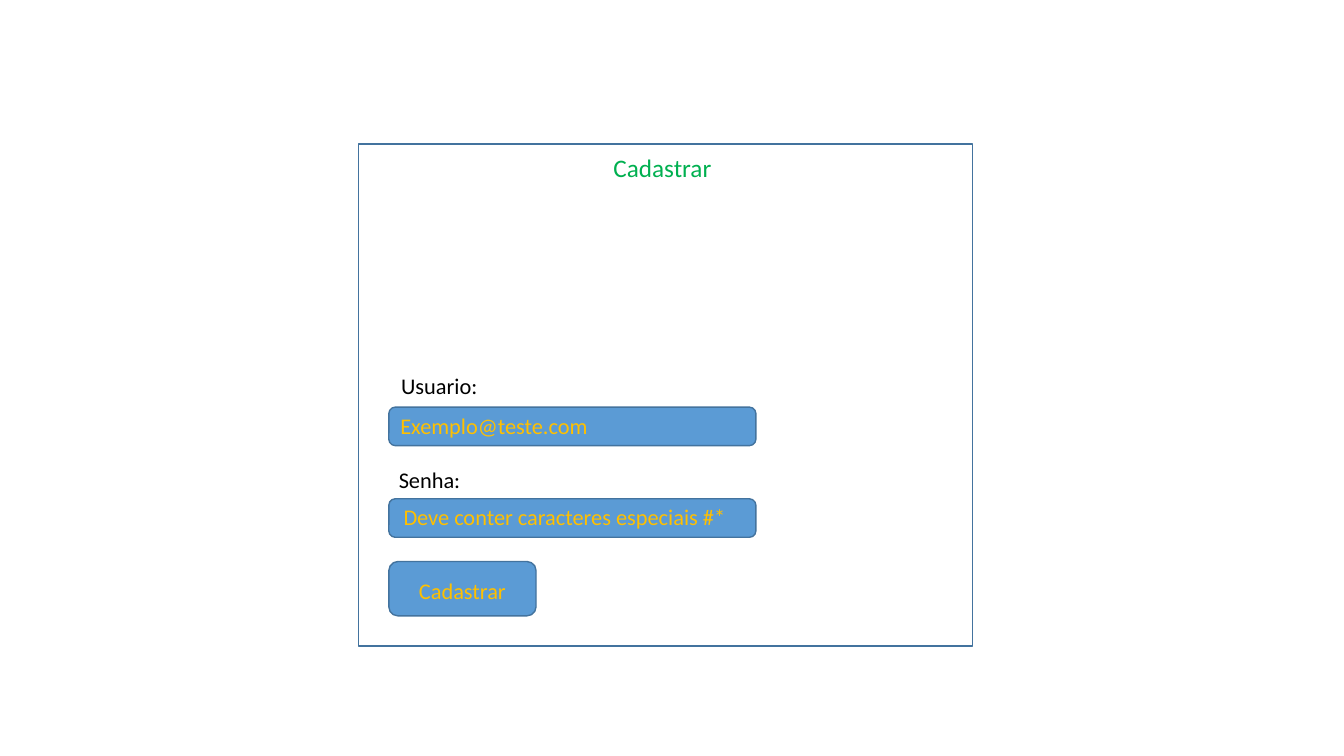
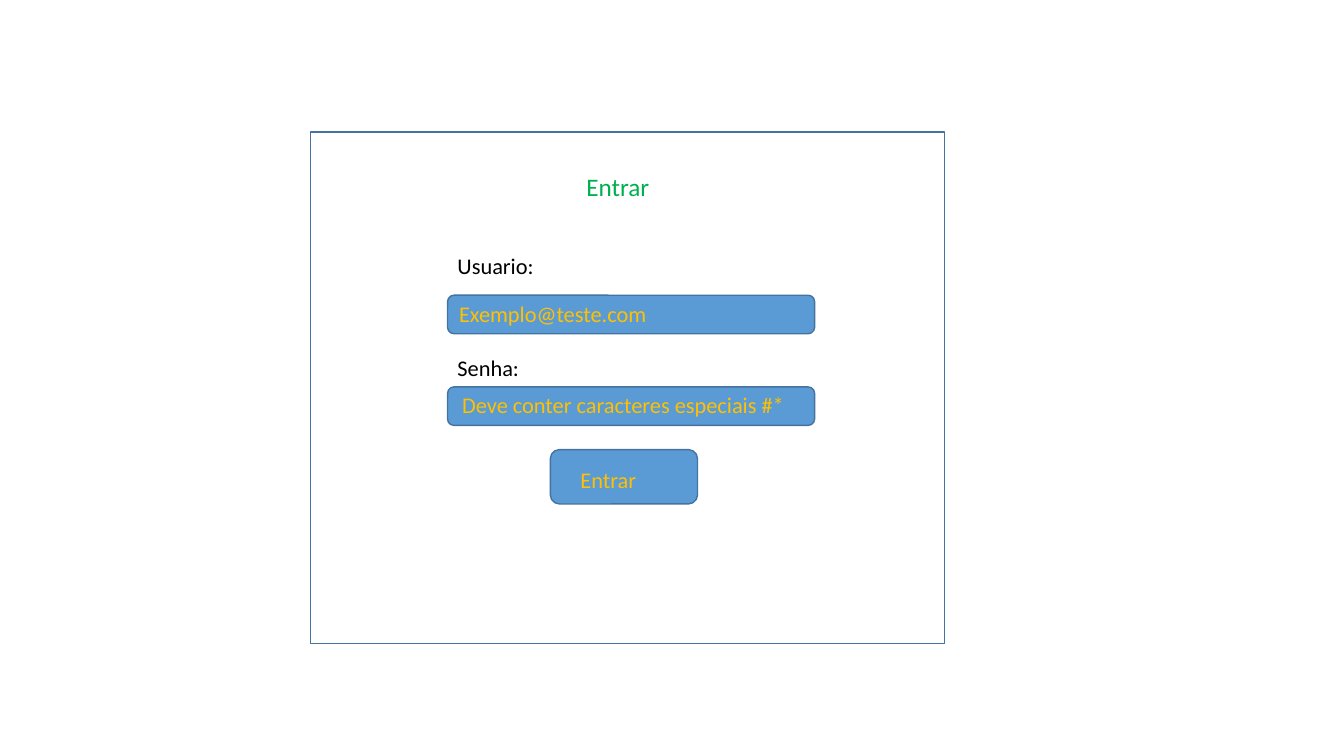
"""Build two form mock-ups: a sign-up screen and a sign-in screen."""
from pptx import Presentation
from pptx.dml.color import RGBColor
from pptx.enum.shapes import MSO_SHAPE
from pptx.util import Cm, Pt

RECT = MSO_SHAPE.RECTANGLE
ROUNDED = MSO_SHAPE.ROUNDED_RECTANGLE
FONT = "Calibri"
COLORS = {"panel": "FFFFFF", "field": "5B9BD5", "border": "43739E",
          "label": "000000", "hint": "FFC000", "title": "00B050"}
FIELD_W, FIELD_H = 9.25, 0.97
FIELD_STEP = 2.31
BUTTON_W, BUTTON_H = 3.71, 1.37
BUTTON_DROP = 3.89
TEXT_H = 0.94


def add_box(s, kind, x, y, w, h, fill):
    sp = s.shapes.add_shape(kind, Cm(x), Cm(y), Cm(w), Cm(h))
    sp.shadow.inherit = False
    sp.fill.solid()
    sp.fill.fore_color.rgb = RGBColor.from_string(COLORS[fill])
    sp.line.color.rgb = RGBColor.from_string(COLORS["border"])
    sp.line.width = Pt(1)


def add_text(s, text, x, y, w, color, size=16):
    tf = s.shapes.add_textbox(Cm(x), Cm(y), Cm(w), Cm(TEXT_H)).text_frame
    tf.word_wrap = True
    tf.text = text
    r = tf.paragraphs[0].runs[0]
    r.font.name = FONT
    r.font.size = Pt(size)
    r.font.color.rgb = RGBColor.from_string(COLORS[color])


prs = Presentation()
prs.slide_width, prs.slide_height = Cm(33.87), Cm(19.05)

screens = [
    {"action": "Cadastrar", "panel": (9.04, 3.63, 15.47, 12.65),
     "title": (15.21, 3.71, 5.11), "fields": (9.8, 10.26),
     "user_label": (9.86, 9.25), "button_x": 9.8},
    {"action": "Entrar", "panel": (7.82, 3.33, 15.98, 12.88),
     "title": (14.53, 4.19, 4.19), "fields": (11.28, 7.44),
     "user_label": (11.28, 6.22), "button_x": 13.87},
]

for screen in screens:
    s = prs.slides.add_slide(prs.slide_layouts[6])
    x, y = screen["fields"]
    password_y = y + FIELD_STEP
    button_x, button_y = screen["button_x"], y + BUTTON_DROP

    add_box(s, RECT, *screen["panel"], "panel")
    add_text(s, screen["action"], *screen["title"], "title", 18)

    for field_y in (y, password_y):
        add_box(s, ROUNDED, x, field_y, FIELD_W, FIELD_H, "field")
    add_text(s, "Usuario:", *screen["user_label"], 5.03, "label")
    add_text(s, "Senha:", x, password_y - 0.94, 5.03, "label")
    add_text(s, "Exemplo@teste.com", x + 0.04, y, 5.69, "hint")
    add_text(s, "Deve conter caracteres especiais #*",
             x + 0.12, password_y - 0.02, 8.69, "hint")

    add_box(s, ROUNDED, button_x, button_y, BUTTON_W, BUTTON_H, "field")
    add_text(s, screen["action"], button_x + 0.51, button_y + 0.28, 5.69, "hint")

prs.save("out.pptx")
